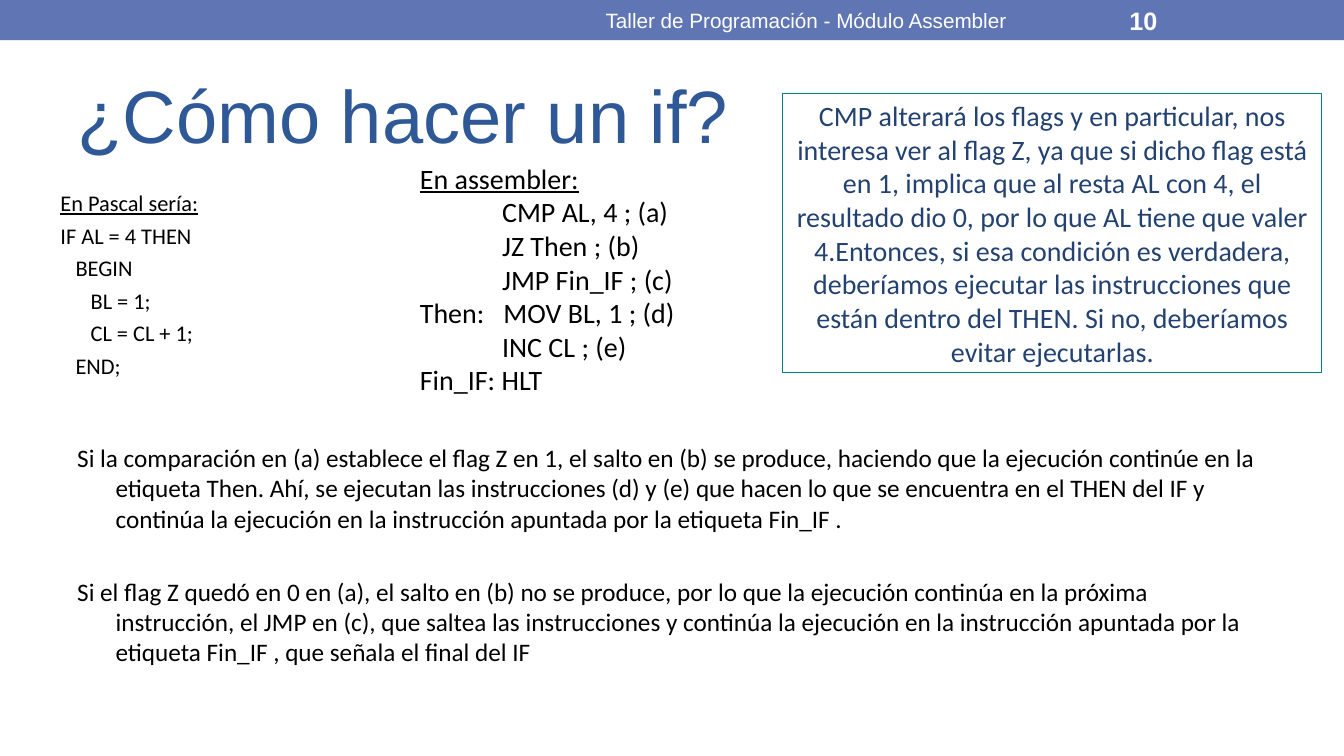
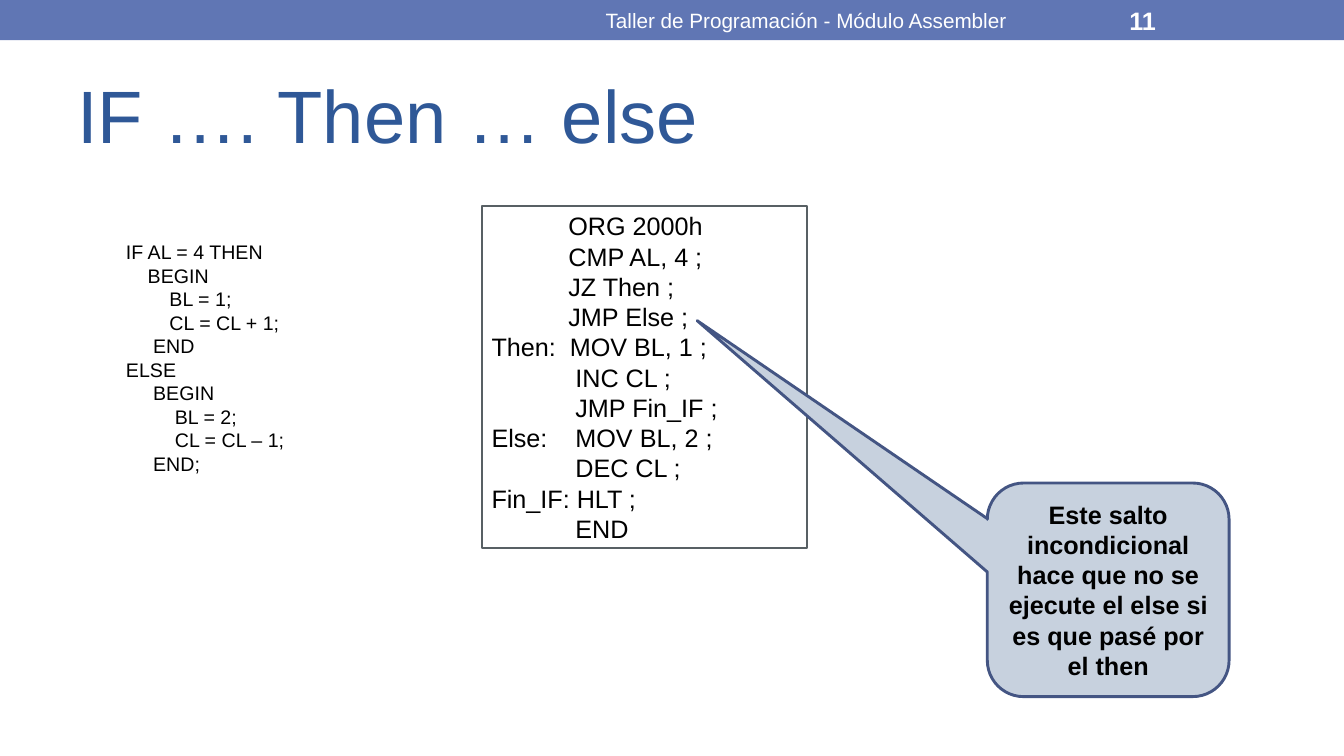
from lxml.etree import SubElement
from pptx import Presentation
from pptx.dml.color import RGBColor
from pptx.enum.shapes import MSO_SHAPE
from pptx.enum.text import MSO_ANCHOR, MSO_AUTO_SIZE, PP_ALIGN
from pptx.oxml.ns import qn
from pptx.util import Pt

COLORS = {
    "band": "6076B4",
    "title": "2F5897",
    "white": "FFFFFF",
    "black": "000000",
    "navy": "234271",
    "teal": "008080",
    "gray": "586064",
    "pale": "C7D1DE",
    "edge": "445583",
}
WIDTH, HEIGHT, BAND = 960.5, 540, 28.8
LEADING = 1.2
COURSE = "Taller de Programación - Módulo Assembler"

PASCAL_IF = [
    "En Pascal sería:",
    "IF AL = 4 THEN",
    "   BEGIN",
    "      BL = 1;",
    "      CL = CL + 1;",
    "   END;",
]
ASM_IF = [
    "En assembler:",
    "             CMP AL, 4 ; (a)",
    "             JZ Then ; (b)",
    "             JMP Fin_IF ; (c)",
    "Then:   MOV BL, 1 ; (d)",
    "             INC CL ; (e)",
    "Fin_IF: HLT",
]
FLAGS = (
    "CMP alterará los flags y en particular, nos interesa ver al flag Z, "
    "ya que si dicho flag está en 1, implica que al resta AL con 4, el "
    "resultado dio 0, por lo que AL tiene que valer 4.Entonces, si esa "
    "condición es verdadera, deberíamos ejecutar las instrucciones que "
    "están dentro del THEN. Si no, deberíamos evitar ejecutarlas."
)
JUMPS = [
    "Si la comparación en (a) establece el flag Z en 1, el salto en (b) se "
    "produce, haciendo que la ejecución continúe en la etiqueta Then. Ahí, "
    "se ejecutan las instrucciones (d) y (e) que hacen lo que se encuentra "
    "en el THEN del IF y continúa la ejecución en la instrucción apuntada "
    "por la etiqueta Fin_IF .",
    "Si el flag Z quedó en 0 en (a), el salto en (b) no se produce, por lo "
    "que la ejecución continúa en la próxima instrucción, el JMP en (c), "
    "que saltea las instrucciones y continúa la ejecución en la instrucción "
    "apuntada por la etiqueta Fin_IF , que señala el final del IF",
]
PASCAL_ELSE = [
    "IF AL = 4 THEN",
    "    BEGIN",
    "        BL = 1;",
    "        CL = CL + 1;",
    "     END",
    "ELSE",
    "     BEGIN",
    "         BL = 2;",
    "         CL = CL – 1;",
    "     END;",
]
ASM_ELSE = [
    "           ORG 2000h",
    "           CMP AL, 4 ;",
    "           JZ Then ;",
    "           JMP Else ;",
    "Then:  MOV BL, 1 ;",
    "            INC CL ;",
    "            JMP Fin_IF ;",
    "Else:    MOV BL, 2 ;",
    "            DEC CL ;",
    "Fin_IF: HLT ;",
    "            END",
]
JUMP_NOTE = ("Este salto incondicional hace que no se ejecute el else si "
             "es que pasé por el then")


def color(name):
    return RGBColor.from_string(COLORS[name])


def place(shape, box):
    shape.left, shape.top, shape.width, shape.height = map(Pt, box)


def write(shape, lines, size, ink="black", face="Arial", bold=False,
          align=PP_ALIGN.LEFT, anchor=MSO_ANCHOR.TOP, gap=0, hang=0,
          head=False):
    frame = shape.text_frame
    frame.word_wrap = True
    frame.auto_size = MSO_AUTO_SIZE.NONE
    frame.vertical_anchor = anchor
    for i, line in enumerate(lines):
        para = frame.add_paragraph() if i else frame.paragraphs[0]
        props = para._p.get_or_add_pPr()
        props.set("marL", str(Pt(hang)))
        props.set("indent", str(-Pt(hang)))
        SubElement(props, qn("a:buNone"))
        para.alignment = align
        para.line_spacing = Pt(LEADING * size)
        para.space_before = Pt(gap if i else 0)
        run = para.add_run()
        run.text = line
        font = run.font
        font.name, font.size, font.bold = face, Pt(size), bold
        font.underline = head and i == 0
        font.color.rgb = color(ink)


def panel(slide, box, fill=None, line=None, weight=1,
          kind=MSO_SHAPE.RECTANGLE):
    shape = slide.shapes.add_shape(kind, *map(Pt, box))
    shape.shadow.inherit = False
    if fill:
        shape.fill.solid()
        shape.fill.fore_color.rgb = color(fill)
    else:
        shape.fill.background()
    if line:
        shape.line.color.rgb = color(line)
        shape.line.width = Pt(weight)
    else:
        shape.line.fill.background()
    return shape


def body(slide, index, box, lines, size, **style):
    shape = slide.placeholders[index]
    place(shape, box)
    write(shape, lines, size, **style)


def header(slide, box, page):
    left, top, width, height = box
    for x, wide, text, size, bold, align in (
        (360, 432, COURSE, 14.8, False, PP_ALIGN.CENTER),
        (800, 112, str(page), 18, True, PP_ALIGN.LEFT),
    ):
        area = slide.shapes.add_textbox(
            Pt(left + x), Pt(top + 1.4), Pt(wide), Pt(height - 2.8))
        write(area, [text], size, "white", bold=bold, align=align,
              anchor=MSO_ANCHOR.MIDDLE)


def start(deck, layout, title, page):
    slide = deck.slides.add_slide(deck.slide_layouts[layout])
    place(slide.shapes.title, (48, 42, 864, 78))
    write(slide.shapes.title, [title], 53, "title",
          anchor=MSO_ANCHOR.MIDDLE)
    header(slide, (0, 0, WIDTH, BAND), page)
    return slide


def callout(slide, box, text):
    shape = panel(slide, box, "pale", "edge", 2.07,
                  MSO_SHAPE.ROUNDED_RECTANGULAR_CALLOUT)
    for i, value in enumerate((-1.7, -1.26, 0.17)):
        shape.adjustments[i] = value
    write(shape, [text], 18, bold=True, align=PP_ALIGN.CENTER,
          anchor=MSO_ANCHOR.MIDDLE)


def if_slide(deck):
    slide = start(deck, 3, "¿Cómo hacer un if?", 10)
    body(slide, 1, (36, 131.8, 148, 160), PASCAL_IF, 16, face="Calibri",
         gap=4, hang=19.4, head=True)
    code = panel(slide, (293, 111.6, 204, 199.4), "white")
    write(code, ASM_IF, 20, face="Calibri", head=True)
    body(slide, 2, (48, 312.5, 857.5, 204.5), JUMPS, 18, face="Calibri",
         gap=30.5, hang=27.4)
    note = panel(slide, (559.5, 67, 385.2, 199.4), line="teal", weight=0.75)
    write(note, [FLAGS], 20, "navy", "Calibri", align=PP_ALIGN.CENTER)
    return slide


def else_slide(deck):
    slide = start(deck, 1, "IF …. Then … else", 11)
    body(slide, 1, (82.8, 167.8, 142, 176), PASCAL_ELSE, 14)
    code = panel(slide, (344.2, 147, 232.6, 244.8), "white", "gray", 1.5)
    write(code, ASM_ELSE, 18)
    callout(slide, (705.6, 345, 172.8, 152.6), JUMP_NOTE)


def main():
    deck = Presentation()
    deck.slide_width, deck.slide_height = Pt(WIDTH), Pt(HEIGHT)
    first = if_slide(deck)
    band = panel(first, (0, 0, WIDTH, BAND), "band")
    deck.slide_master.shapes.element.append(band.element)
    else_slide(deck)
    deck.save("out.pptx")


if __name__ == "__main__":
    main()
